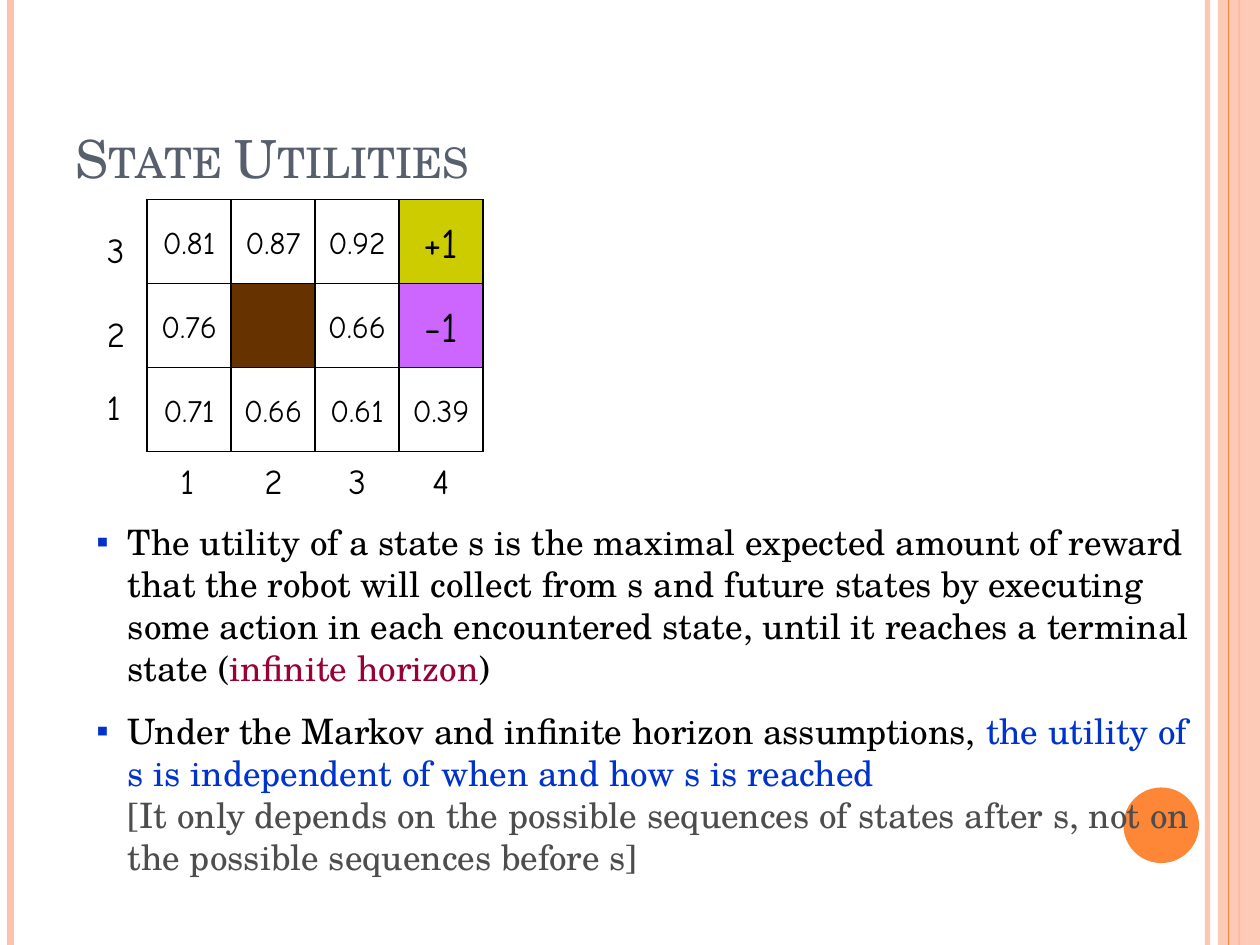
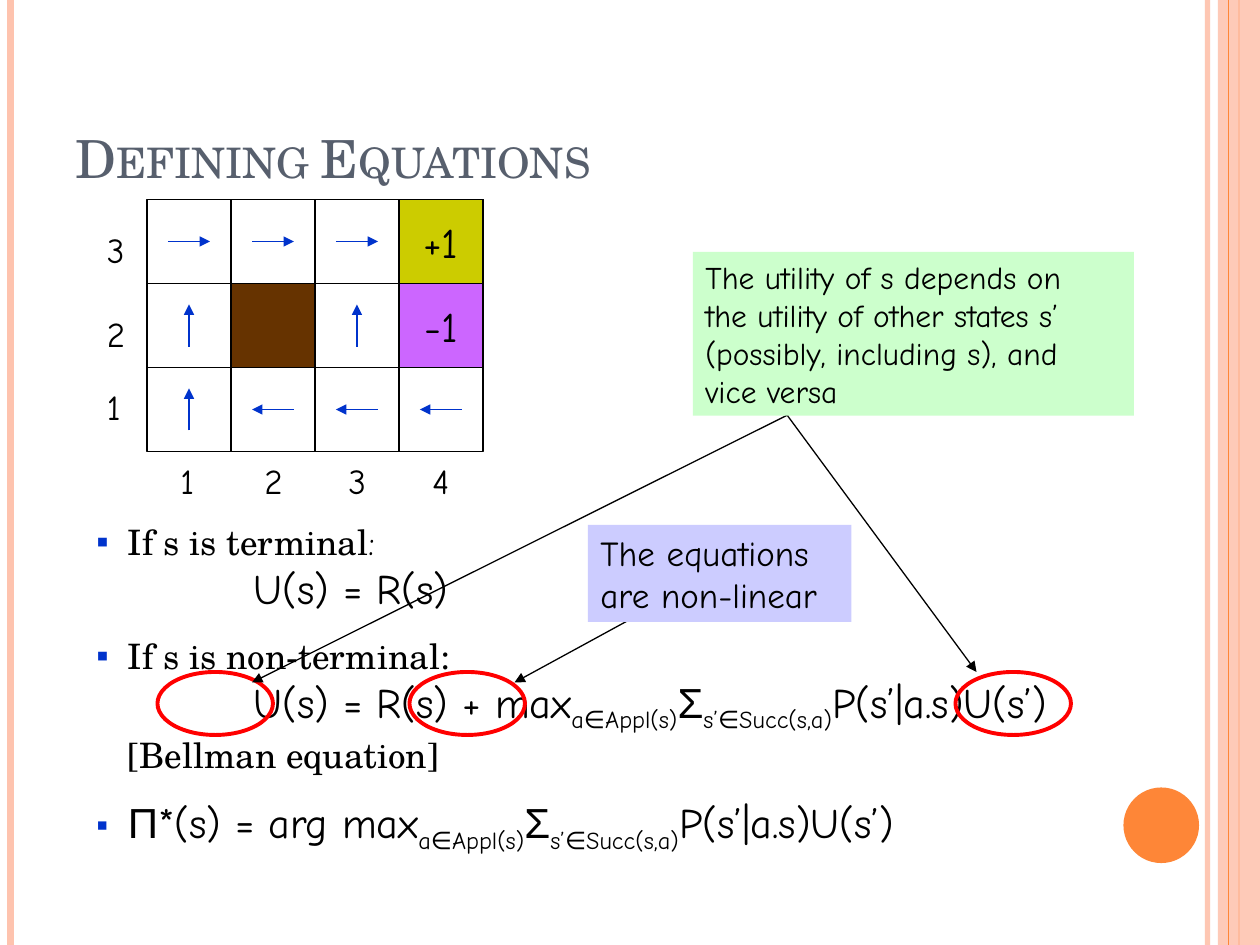
from dataclasses import dataclass
from typing import Optional

from lxml.etree import SubElement
from pptx import Presentation
from pptx.dml.color import RGBColor
from pptx.enum.shapes import MSO_CONNECTOR, MSO_SHAPE
from pptx.enum.text import MSO_ANCHOR, PP_ALIGN
from pptx.oxml.ns import qn
from pptx.util import Pt

SERIF, COMIC, SANS = "TeX Gyre Schola", "Comic Neue", "Arial"
BLACK, WHITE, BLUE, RED = "000000", "FFFFFF", "0033CC", "FF0000"
CRIMSON, GRAY, TITLE_COLOR = "990033", "4D4D4D", "575F6D"
PEACH, ORANGE = "FEC3AE", "FE8637"
BROWN, YELLOW, PURPLE = "663300", "CCCC00", "CC66FF"
LIGHT_GREEN, LAVENDER = "CCFFCC", "CCCCFF"

SLIDE_WIDTH, SLIDE_HEIGHT = 720, 540
CELL, GRID_LEFT, GRID_TOP = 48, 84, 114
COLUMNS, ROWS = 4, 3
ARROW_REACH = 12
BULLET_INDENT, EQUATION_INDENT = 18, 90


@dataclass
class Box:
    left: float
    top: float
    width: float
    height: float

    def lengths(self) -> list:
        return [Pt(value) for value in (self.left, self.top, self.width, self.height)]


@dataclass
class Rule:
    """A vertical line over the full height of the slide."""
    x: float
    color: str
    width: float
    opacity: int = 100


@dataclass
class Span:
    text: str
    size: float = 20
    font: str = SERIF
    color: str = BLACK
    baseline: int = 0


@dataclass
class Item:
    spans: list
    bullet: bool = True
    indent: float = BULLET_INDENT
    space_after: float = 0
    bullet_size: int = 100


@dataclass
class Callout:
    box: Box
    text: str
    size: float
    fill: str


RULES_BEHIND_BAND = [Rule(690, PEACH, 3, 93), Rule(6, PEACH, 4.5), Rule(708, ORANGE, 1.5)]
RULE_ON_BAND = Rule(702, ORANGE, 0.75)
LINE_BREAK = Span("\n")


def math(text: str) -> Span:
    return Span(text, 24, COMIC)


def subscript(text: str) -> Span:
    return Span(text, 24, COMIC, baseline=-25)


MAX_EXPECTED_UTILITY = [
    subscript("a∈Appl(s)"), Span("Σ", 24, SANS), subscript("s’∈Succ(s,a)"),
    math("P(s’|a.s)U(s’)"),
]

UTILITY_ITEMS = [
    Item([
        Span("The utility of a state s is the maximal expected amount of reward that the robot "
             "will collect from s and future states by executing some action in each "
             "encountered state, until it reaches a terminal state ("),
        Span("infinite horizon", color=CRIMSON), Span(")"),
    ], space_after=12),
    Item([
        Span("Under the Markov and infinite horizon assumptions, "),
        Span("the utility of s is independent of when and how s is reached", color=BLUE),
        LINE_BREAK,
        Span("[It only depends on the possible sequences of states after s, not on the "
             "possible sequences before s]", color=GRAY),
    ]),
]

EQUATION_ITEMS = [
    Item([Span("If s is terminal"), Span(":", font=COMIC)]),
    Item([math("U(s) = R(s)")], bullet=False, indent=EQUATION_INDENT, space_after=12),
    Item([Span("If s is non-terminal:")]),
    Item([math("U(s) = R(s) + max"), *MAX_EXPECTED_UTILITY], bullet=False,
         indent=EQUATION_INDENT),
    Item([Span("[Bellman equation]")], bullet=False, space_after=12),
    Item([Span("Π", 24, SANS), math("*(s) = arg max"), *MAX_EXPECTED_UTILITY], bullet_size=80),
]

# Both maps are read from the top row down; None marks the wall and the terminal states.
UTILITIES = [
    ["0.81", "0.87", "0.92", None],
    ["0.76", None, "0.66", None],
    ["0.71", "0.66", "0.61", "0.39"],
]
RIGHT, LEFT, UP = (1, 0), (-1, 0), (0, -1)
POLICY = [
    [RIGHT, RIGHT, RIGHT, None],
    [UP, None, UP, None],
    [UP, LEFT, LEFT, LEFT],
]

HIGHLIGHT_LEFTS = [90, 234, 546]
CALLOUT_ARROWS = [((522.5, 201), (144, 390)), ((448.5, 235.5), (558, 384)),
                  ((360, 354), (294, 390))]
CALLOUTS = [
    Callout(Box(396, 144, 252, 93.6),
            "The utility of s depends on\nthe utility of other states s’\n"
            "(possibly, including s), and\nvice versa", 18, LIGHT_GREEN),
    Callout(Box(336, 300, 150.5, 55.4), "The equations\nare non-linear", 20, LAVENDER),
]


def rgb(color: str) -> RGBColor:
    return RGBColor.from_string(color)


def set_opacity(shape, percent: int) -> None:
    for color in shape._element.spPr.iter(qn("a:srgbClr")):
        SubElement(color, qn("a:alpha"), val=str(percent * 1000))


def add_line(slide, start: tuple, end: tuple, color: str = BLACK, width: float = 0.75,
             arrow: bool = False):
    line = slide.shapes.add_connector(
        MSO_CONNECTOR.STRAIGHT, *[Pt(value) for value in (*start, *end)])
    line.line.color.rgb = rgb(color)
    line.line.width = Pt(width)
    if arrow:
        SubElement(line.line._get_or_add_ln(), qn("a:tailEnd"), type="triangle")
    SubElement(line._element.spPr, qn("a:effectLst"))
    return line


def add_shape(slide, kind, box: Box, fill: Optional[str] = None,
              outline: Optional[str] = None, width: float = 0.75):
    shape = slide.shapes.add_shape(kind, *box.lengths())
    shape.shadow.inherit = False
    if fill:
        shape.fill.solid()
        shape.fill.fore_color.rgb = rgb(fill)
    else:
        shape.fill.background()
    if outline:
        shape.line.color.rgb = rgb(outline)
        shape.line.width = Pt(width)
    else:
        shape.line.fill.background()
    return shape


def format_run(run, size: float, font: str, color: str = BLACK) -> None:
    run.font.size = Pt(size)
    run.font.name = font
    run.font.color.rgb = rgb(color)


def write(shape, text: str, size: float, font: str = COMIC, color: str = BLACK,
          align=PP_ALIGN.LEFT, anchor=MSO_ANCHOR.TOP, wrap: bool = False) -> None:
    text_frame = shape.text_frame
    text_frame.text = text
    text_frame.word_wrap = wrap
    text_frame.vertical_anchor = anchor
    for paragraph in text_frame.paragraphs:
        paragraph.alignment = align
        for run in paragraph.runs:
            format_run(run, size, font, color)


def add_rule(slide, rule: Rule) -> None:
    line = add_line(slide, (rule.x, 0), (rule.x, SLIDE_HEIGHT), rule.color, rule.width)
    if rule.opacity < 100:
        set_opacity(line, rule.opacity)


def add_titled_slide(presentation, title: str):
    slide = presentation.slides.add_slide(presentation.slide_layouts[6])
    for rule in RULES_BEHIND_BAND:
        add_rule(slide, rule)
    band = add_shape(slide, MSO_SHAPE.RECTANGLE, Box(696, 0, 24, SLIDE_HEIGHT), PEACH)
    set_opacity(band, 87)
    add_rule(slide, RULE_ON_BAND)
    add_shape(slide, MSO_SHAPE.OVAL, Box(642, 450, 43.2, 43.2), ORANGE)

    title_box = slide.shapes.add_textbox(*Box(36, 21.6, 588, 90).lengths())
    write(title_box, title, 30, SERIF, TITLE_COLOR, anchor=MSO_ANCHOR.BOTTOM, wrap=True)
    title_run = title_box.text_frame.paragraphs[0].runs[0]
    title_run._r.get_or_add_rPr().set("cap", "small")
    return slide


def add_cell(slide, row: int, column: int, fill: str, text: str = "", size: float = 18) -> None:
    box = Box(GRID_LEFT + column * CELL, GRID_TOP + row * CELL, CELL, CELL)
    cell = add_shape(slide, MSO_SHAPE.RECTANGLE, box, fill, BLACK)
    write(cell, text, size, align=PP_ALIGN.CENTER, anchor=MSO_ANCHOR.MIDDLE)


def add_axis_label(slide, left: float, top: float, number: int) -> None:
    label = slide.shapes.add_textbox(*Box(left, top, 26.5, 31).lengths())
    write(label, str(number), 20)


def add_world_grid(slide) -> None:
    """Draw the empty grid with its wall, its two terminal states and its axis numbers."""
    right, bottom = GRID_LEFT + COLUMNS * CELL, GRID_TOP + ROWS * CELL
    add_shape(slide, MSO_SHAPE.RECTANGLE,
              Box(GRID_LEFT, GRID_TOP, COLUMNS * CELL, ROWS * CELL), outline=BLACK)
    for column in range(1, COLUMNS):
        x = GRID_LEFT + column * CELL
        add_line(slide, (x, GRID_TOP), (x, bottom))
    for row in range(1, ROWS):
        y = GRID_TOP + row * CELL
        add_line(slide, (GRID_LEFT, y), (right, y))
    add_cell(slide, 1, 1, BROWN)
    add_cell(slide, 0, 3, YELLOW, "+1", 24)
    add_cell(slide, 1, 3, PURPLE, "-1", 24)
    for number, top in zip((3, 2, 1), (127, 175, 217)):
        add_axis_label(slide, 54, top, number)
    for column in range(COLUMNS):
        add_axis_label(slide, GRID_LEFT + 12 + column * CELL, 259, column + 1)


def add_utilities(slide) -> None:
    for row, values in enumerate(UTILITIES):
        for column, value in enumerate(values):
            if value:
                add_cell(slide, row, column, WHITE, value)


def add_policy_arrows(slide) -> None:
    for row, directions in enumerate(POLICY):
        for column, direction in enumerate(directions):
            if direction:
                x = GRID_LEFT + (column + 0.5) * CELL
                y = GRID_TOP + (row + 0.5) * CELL
                dx, dy = (ARROW_REACH * step for step in direction)
                add_line(slide, (x - dx, y - dy), (x + dx, y + dy), BLUE, arrow=True)


def set_bullet(properties, size: int) -> None:
    color = SubElement(properties, qn("a:buClr"))
    SubElement(color, qn("a:srgbClr"), val=BLUE)
    SubElement(properties, qn("a:buSzPct"), val=str(size * 1000))
    SubElement(properties, qn("a:buFont"), typeface=SANS)
    SubElement(properties, qn("a:buChar"), char="▪")


def add_items(slide, box: Box, items: list) -> None:
    text_frame = slide.shapes.add_textbox(*box.lengths()).text_frame
    text_frame.word_wrap = True
    for index, item in enumerate(items):
        paragraph = text_frame.add_paragraph() if index else text_frame.paragraphs[0]
        paragraph.space_after = Pt(item.space_after)
        properties = paragraph._p.get_or_add_pPr()
        properties.set("marL", str(Pt(item.indent)))
        properties.set("indent", str(Pt(-BULLET_INDENT if item.bullet else 0)))
        if item.bullet:
            set_bullet(properties, item.bullet_size)
        for span in item.spans:
            if span is LINE_BREAK:
                paragraph.add_line_break()
                continue
            run = paragraph.add_run()
            run.text = span.text
            format_run(run, span.size, span.font, span.color)
            if span.baseline:
                run._r.get_or_add_rPr().set("baseline", str(span.baseline * 1000))


def add_callouts(slide) -> None:
    for left in HIGHLIGHT_LEFTS:
        add_shape(slide, MSO_SHAPE.OVAL, Box(left, 384, 66, 36), outline=RED, width=2.25)
    for start, end in CALLOUT_ARROWS:
        add_line(slide, start, end, arrow=True)
    for callout in CALLOUTS:
        shape = add_shape(slide, MSO_SHAPE.RECTANGLE, callout.box, callout.fill)
        write(shape, callout.text, callout.size, wrap=True)


def main() -> None:
    presentation = Presentation()
    presentation.slide_width, presentation.slide_height = Pt(SLIDE_WIDTH), Pt(SLIDE_HEIGHT)

    utilities_slide = add_titled_slide(presentation, "State Utilities")
    add_items(utilities_slide, Box(48, 294, 648, 223), UTILITY_ITEMS)
    add_world_grid(utilities_slide)
    add_utilities(utilities_slide)

    equations_slide = add_titled_slide(presentation, "Defining Equations")
    add_world_grid(equations_slide)
    add_policy_arrows(equations_slide)
    add_items(equations_slide, Box(48, 294, 654, 245), EQUATION_ITEMS)
    add_callouts(equations_slide)

    presentation.save("out.pptx")


if __name__ == "__main__":
    main()
